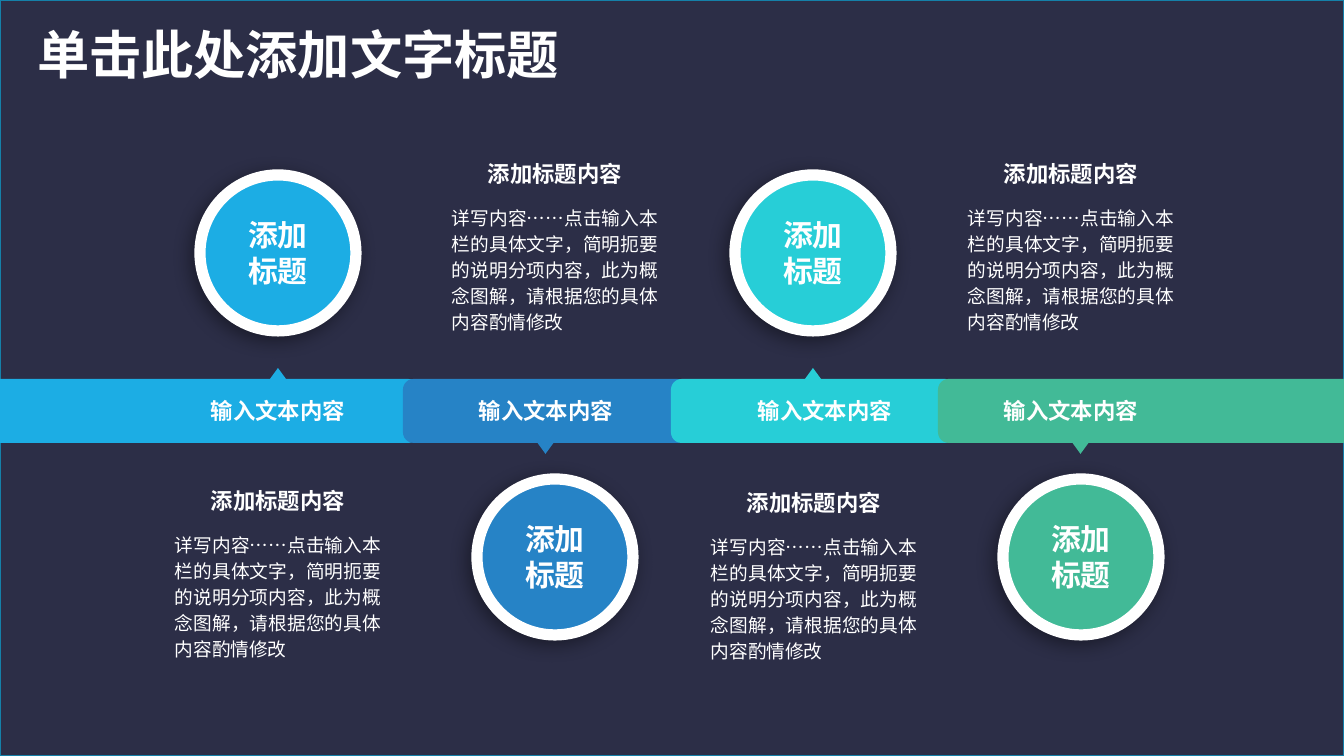
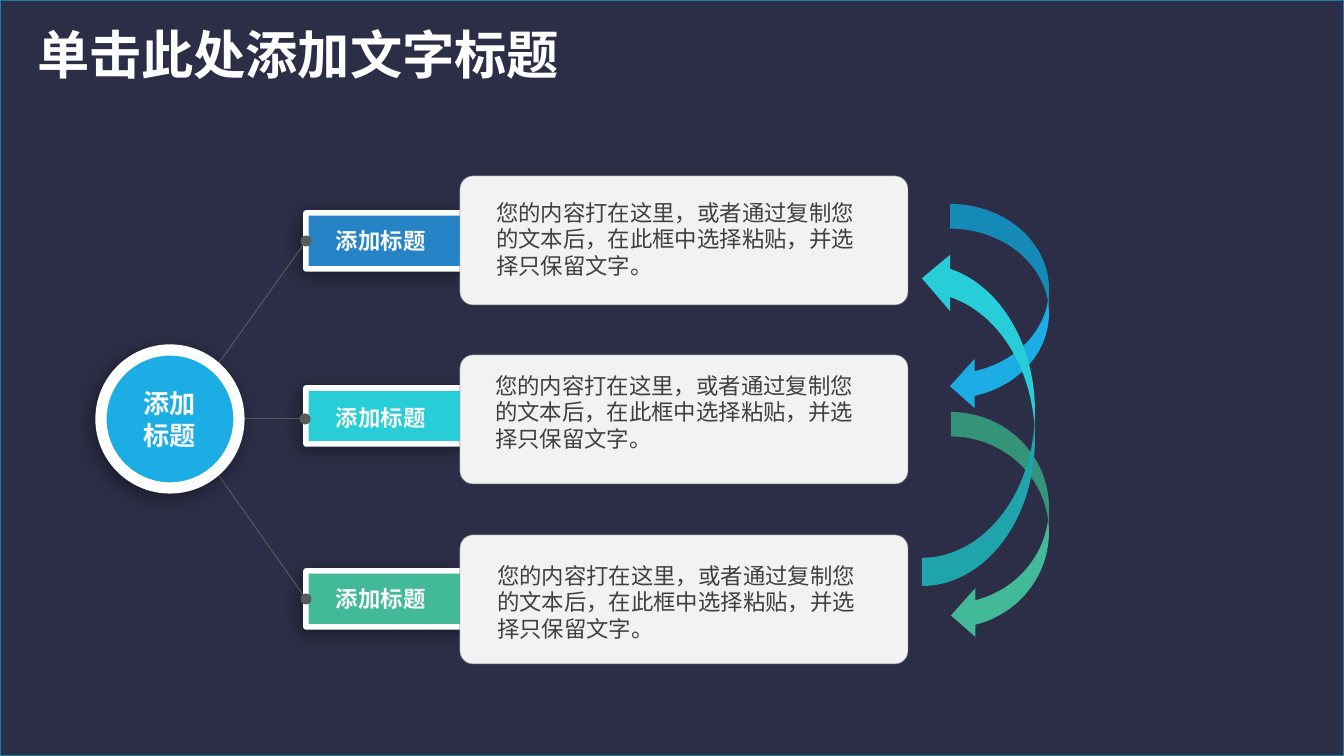
from lxml.etree import SubElement
from pptx import Presentation
from pptx.dml.color import RGBColor
from pptx.enum.shapes import MSO_CONNECTOR, MSO_SHAPE
from pptx.enum.text import MSO_ANCHOR, MSO_AUTO_SIZE, PP_ALIGN
from pptx.oxml.ns import qn
from pptx.util import Pt

PX = 914400 / 134.4
WIDTH, HEIGHT = 1344, 756
NAVY, EDGE, WHITE, OFF_WHITE = "2C2E47", "1580A9", "FFFFFF", "F8F8F8"
SKY, BLUE, TEAL, GREEN = "1CADE4", "2683C6", "27CED7", "42BA97"
CARD, CARD_EDGE, DARK, WIRE = "F2F2F2", "808080", "404040", "595959"
CJK, LATIN = "Noto Sans CJK SC", "Calibri"
SLIM = (9, 4)

TITLE = "单击此处添加文字标题"
NODE = "添加标题"
HEADING = "添加标题内容"
BAND_LABEL = "输入文本内容"
DETAIL = "详写内容……点击输入本栏的具体文字，简明扼要的说明分项内容，此为概念图解，请根据您的具体内容酌情修改"
CARD_TEXT = "您的内容打在这里，或者通过复制您的文本后，在此框中选择粘贴，并选择只保留文字。"


def px(n):
    return round(n * PX)


def rgb(color):
    return RGBColor.from_string(color)


def write(shape, text, size=12, color=WHITE, bold=False, font=CJK, align=PP_ALIGN.LEFT,
          anchor=MSO_ANCHOR.TOP, inset=(0, 0), spacing=None, wrap=True, grow=False):
    tf = shape.text_frame
    tf.text = text
    tf.word_wrap = wrap
    tf.auto_size = MSO_AUTO_SIZE.SHAPE_TO_FIT_TEXT if grow else MSO_AUTO_SIZE.NONE
    tf.vertical_anchor = anchor
    tf.margin_left = tf.margin_right = px(inset[0])
    tf.margin_top = tf.margin_bottom = px(inset[1])
    for p in tf.paragraphs:
        p.alignment = align
        if spacing:
            p.line_spacing = Pt(spacing)
        for r in p.runs:
            r.font.size, r.font.bold, r.font.name = Pt(size), bold, font
            r.font.color.rgb = rgb(color)
            SubElement(r.font._element, qn("a:ea"), typeface=CJK)


def add_text(s, box, text, **fmt):
    write(s.shapes.add_textbox(*map(px, box)), text, **fmt)


def cast_shadow(shape):
    """Soft black shadow to the lower left."""
    effects = shape.element.spPr.find(qn("a:effectLst"))
    shadow = SubElement(effects, qn("a:outerShdw"), blurRad=str(Pt(10)), dist=str(Pt(3)),
                        dir="8100000", algn="tr", rotWithShape="0")
    black = SubElement(shadow, qn("a:srgbClr"), val="000000")
    SubElement(black, qn("a:alpha"), val="40000")


def add_box(shapes, kind, box, fill, line=None, weight=1, adj=None, flip=None, shadow=False):
    sp = shapes.add_shape(kind, *map(px, box))
    sp.shadow.inherit = False
    sp.fill.solid()
    sp.fill.fore_color.rgb = rgb(fill)
    if line:
        sp.line.color.rgb = rgb(line)
        sp.line.width = Pt(weight)
    else:
        sp.line.fill.background()
    if adj is not None:
        sp.adjustments[0] = adj
    if flip:
        sp.element.spPr.find(qn("a:xfrm")).set(flip, "1")
    if shadow:
        cast_shadow(sp)
    return sp


def new_slide(prs):
    """Slide with the shared dark panel and title."""
    s = prs.slides.add_slide(prs.slide_layouts[5])
    title = s.shapes.title
    title.left, title.top, title.width, title.height = map(px, (24, 15, 556, 77))
    write(title, TITLE, size=28, bold=True, inset=(13, 7), wrap=False, grow=True)
    panel = add_box(s.shapes, MSO_SHAPE.RECTANGLE, (0, 0, WIDTH, HEIGHT), NAVY, EDGE)
    title.element.addprevious(panel.element)
    return s


def add_disc(s, x, y, d, color):
    return add_box(s.shapes, MSO_SHAPE.OVAL, (x, y, d, d), color, WHITE, 6, shadow=True)


def add_caption(s, x, y, text):
    add_text(s, (x, y, 176, 27), text, bold=True, align=PP_ALIGN.CENTER, grow=True)


def add_band(s, x, width, tip_x, color, up):
    """Band segment with a small pointer above or below it."""
    top, height = 379, 64
    g = s.shapes.add_group_shape()
    flip = None if up else "flipV"
    add_box(g.shapes, MSO_SHAPE.ROUNDED_RECTANGLE, (x, top, width, height), color,
            adj=0.167, flip=flip)
    tip_y = top - 11 if up else top + height - 2
    add_box(g.shapes, MSO_SHAPE.ISOSCELES_TRIANGLE, (tip_x, tip_y, 19, 13), color, flip=flip)


def add_node(s, x, y, color):
    add_disc(s, x, y, 156, color)
    add_text(s, (x + 37, y + 42, 82, 73), NODE, size=16, bold=True,
             align=PP_ALIGN.CENTER, grow=True)


def add_detail(s, x, y):
    add_caption(s, x, y, HEADING)
    add_text(s, (x - 15, y + 43, 206, 132), DETAIL, size=10, align=PP_ALIGN.JUSTIFY,
             spacing=14, grow=True)


def timeline_slide(prs):
    s = new_slide(prs)
    # color, band x, band width, label x, disc x, detail x, detail y
    steps = [(SKY, -16, 435, 190, 200, 190, 487),
             (BLUE, 403, 285, 458, 477, 467, 160),
             (TEAL, 671, 285, 737, 735, 726, 489),
             (GREEN, 938, 422, 983, 1003, 983, 160)]
    for i, (color, band_x, width, label_x, disc_x, detail_x, detail_y) in enumerate(steps):
        up = i % 2 == 0
        add_band(s, band_x, width, 268.5 + 267.5 * i, color, up)
        add_caption(s, label_x, 397, BAND_LABEL)
        add_node(s, disc_x, 175 if up else 479, color)
        add_detail(s, detail_x, detail_y)


def add_tag(s, y, text_y, color):
    tag = add_box(s.shapes, MSO_SHAPE.PENTAGON, (306, y, 185, 56), color, WHITE, 3, shadow=True)
    add_text(s, (327, text_y, 156, 36), NODE, color=OFF_WHITE, bold=True, font=LATIN,
             anchor=MSO_ANCHOR.MIDDLE, inset=SLIM)
    return tag


def add_wire(s, x, y, tag=None):
    """Thin line with round ends, level unless it is joined to a tag."""
    wire = s.shapes.add_connector(MSO_CONNECTOR.STRAIGHT, px(x), px(y), px(305), px(y))
    if tag:
        wire.end_connect(tag, 1)
    wire.line.color.rgb = rgb(WIRE)
    wire.line.width = Pt(0.5)
    for end in ("a:headEnd", "a:tailEnd"):
        SubElement(wire.line._get_or_add_ln(), qn(end), type="oval")
    SubElement(wire.element.spPr, qn("a:effectLst"))


def add_card(s, y, text_x, text_y):
    add_box(s.shapes, MSO_SHAPE.ROUNDED_RECTANGLE, (460, y, 448, 129), CARD, CARD_EDGE,
            0.25, adj=0.1)
    add_text(s, (text_x, text_y, 391, 70), CARD_TEXT, color=DARK, font=LATIN,
             anchor=MSO_ANCHOR.MIDDLE, inset=SLIM)


def add_cycle(s):
    """Curved arrows linking the cards."""
    arrow = MSO_SHAPE.CURVED_LEFT_ARROW
    add_box(s.shapes, arrow, (950, 204, 99, 207), SKY)
    add_box(s.shapes, arrow, (951, 412, 98, 228), GREEN)
    back = add_box(s.shapes, arrow, (922, 250, 113, 336), TEAL, flip="flipH")
    back.rotation = 180


def branch_slide(prs):
    s = new_slide(prs)
    top, _, bottom = [add_tag(s, *row) for row in ((213, 223, BLUE), (388, 400, TEAL),
                                                   (571, 581, GREEN))]
    for tag in (top, None, bottom):
        add_wire(s, 179, 419, tag)
    hub = add_disc(s, 101, 350, 138, SKY)
    write(hub, "添加\n标题", size=14, color=OFF_WHITE, bold=True, font=LATIN,
          align=PP_ALIGN.CENTER, anchor=MSO_ANCHOR.MIDDLE, inset=SLIM)
    add_cycle(s)
    for y, text_x, text_y in ((176, 487, 204), (355, 486, 377), (535, 488, 567)):
        add_card(s, y, text_x, text_y)


def main():
    prs = Presentation()
    prs.slide_width, prs.slide_height = px(WIDTH), px(HEIGHT)
    timeline_slide(prs)
    branch_slide(prs)
    prs.save("out.pptx")


if __name__ == "__main__":
    main()
